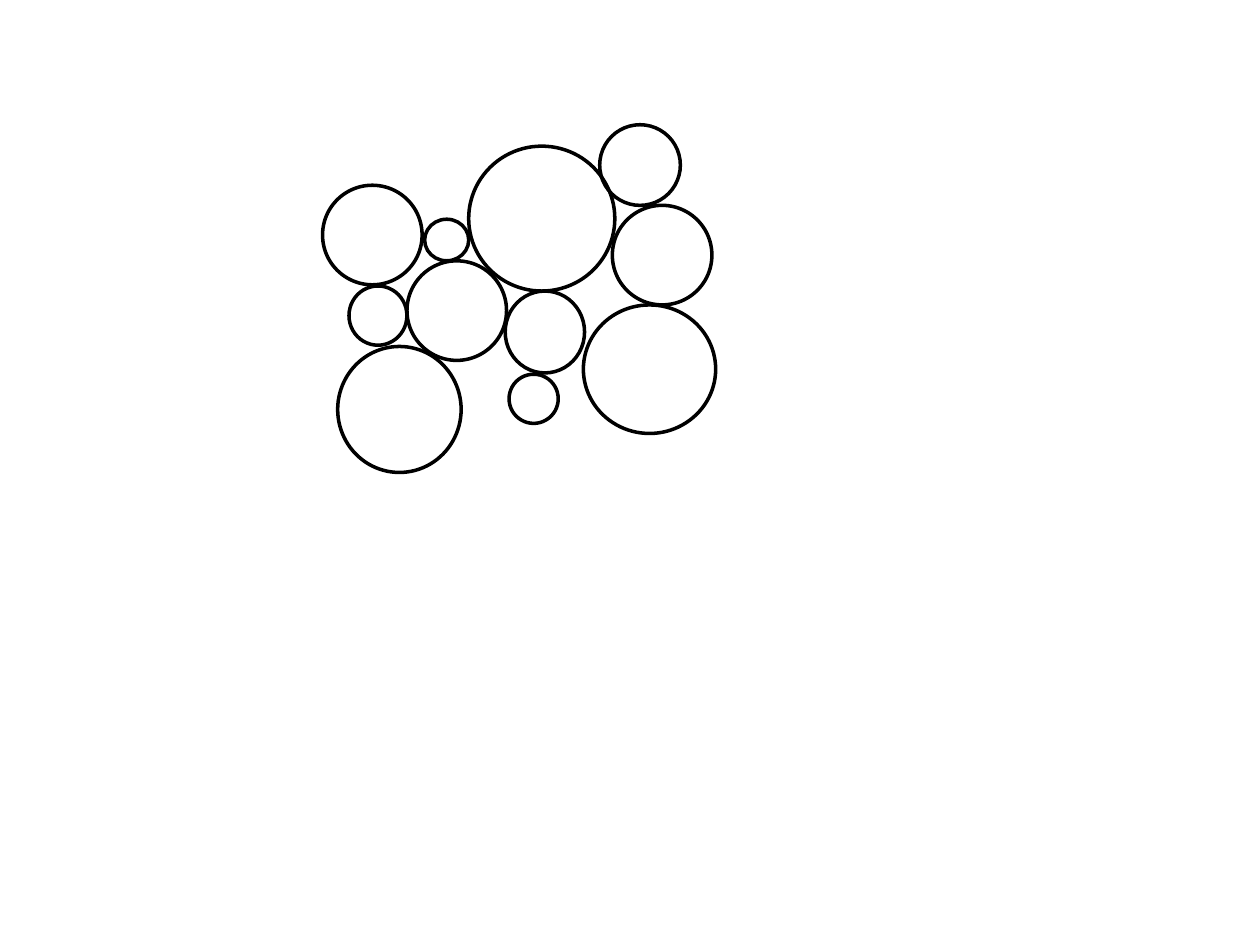
"""Build a slide with a cluster of touching outlined circles."""
import pptx
import pptx.dml.color
import pptx.enum.shapes
import pptx.util

Inches = pptx.util.Inches
theme = {
    "outline": pptx.dml.color.RGBColor(0x00, 0x00, 0x00),
    "outline_width": pptx.util.Pt(2),
}

presentation = pptx.Presentation()
presentation.slide_width = Inches(10)
presentation.slide_height = Inches(7.5)
slide = presentation.slides.add_slide(presentation.slide_layouts[6])

circles = [
    (2.56, 1.47, 0.79, 0.79),
    (2.77, 2.27, 0.46, 0.47),
    (4.76, 0.99, 0.64, 0.64),
    (2.68, 2.75, 0.98, 1.00),
    (3.37, 1.74, 0.35, 0.33),
    (4.86, 1.63, 0.79, 0.79),
    (4.01, 2.31, 0.63, 0.65),
    (4.63, 2.42, 1.05, 1.02),
    (4.04, 2.97, 0.39, 0.39),
    (3.72, 1.16, 1.16, 1.15),
    (3.23, 2.07, 0.79, 0.79),
]

for bounds in circles:
    circle = slide.shapes.add_shape(
        pptx.enum.shapes.MSO_SHAPE.OVAL, *map(Inches, bounds)
    )
    circle.shadow.inherit = False
    circle.fill.background()
    circle.line.color.rgb = theme["outline"]
    circle.line.width = theme["outline_width"]

presentation.save("out.pptx")
